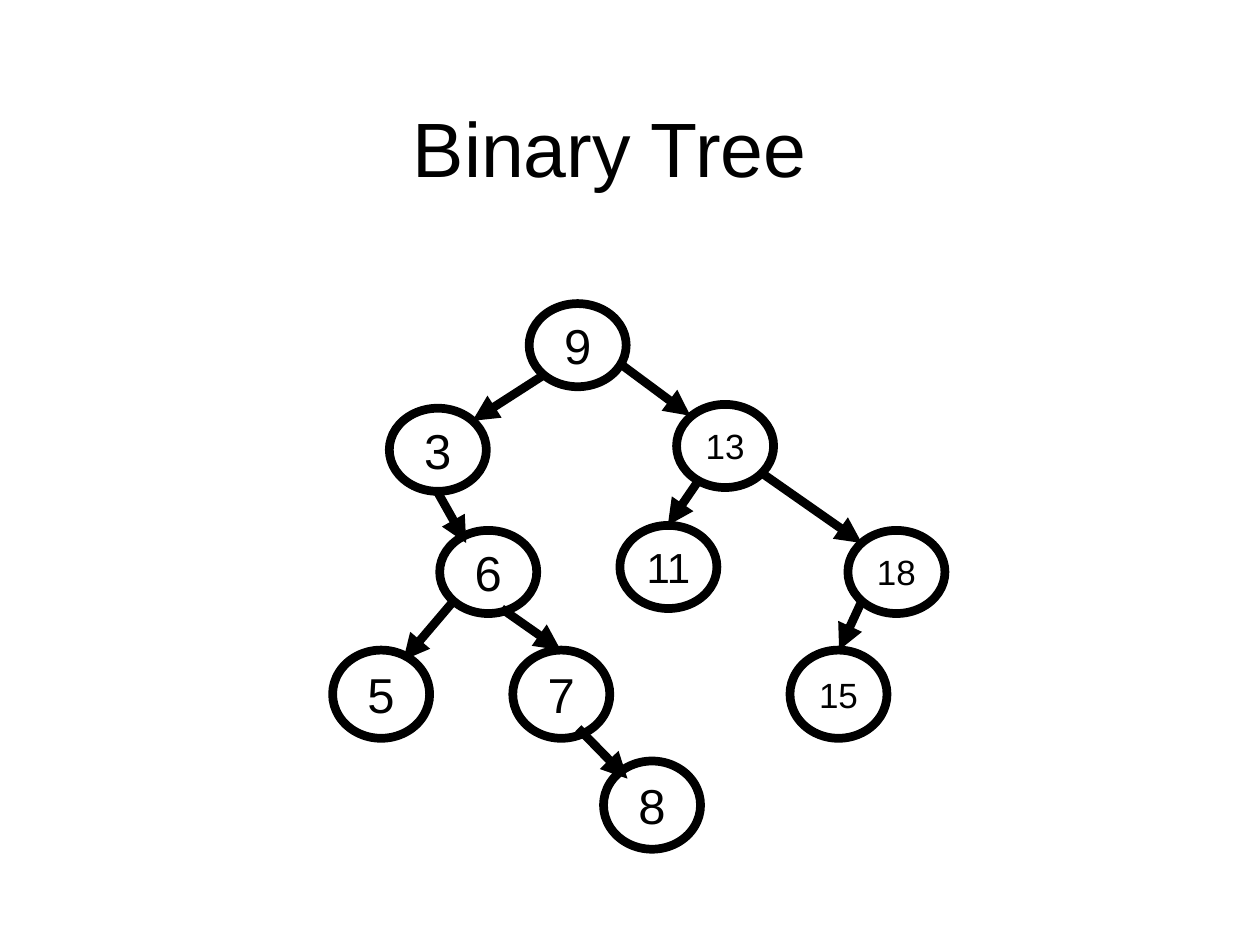
from typing import NamedTuple

from lxml.etree import SubElement
from pptx import Presentation
from pptx.dml.color import RGBColor
from pptx.enum.shapes import MSO_CONNECTOR, MSO_SHAPE
from pptx.enum.text import MSO_ANCHOR, PP_ALIGN
from pptx.oxml.ns import qn
from pptx.shapes.shapetree import GroupShapes
from pptx.text.text import TextFrame
from pptx.util import Inches, Pt

BLACK = RGBColor(0, 0, 0)
FONT = "Arial"
LINE_WIDTH = Pt(5)
NODE_WIDTH = 0.77


class Node(NamedTuple):
    label: str
    left: float
    top: float
    height: float = 0.66
    size: int = 28


class Edge(NamedTuple):
    start: tuple[float, float]
    end: tuple[float, float]


NODES = [
    Node("9", 4.2, 2.41),
    Node("3", 3.09, 3.24),
    Node("13", 5.37, 3.21, size=20),
    Node("11", 4.92, 4.17, size=24),
    Node("18", 6.73, 4.21, size=20),
    Node("6", 3.49, 4.21),
    Node("5", 2.64, 5.16, 0.7),
    Node("7", 4.07, 5.16, 0.7),
    Node("15", 6.27, 5.16, 0.7, 20),
    Node("8", 4.79, 6.04, 0.7),
]

EDGES = [
    Edge((4.31, 2.98), (3.75, 3.34)),
    Edge((4.94, 2.9), (5.48, 3.3)),
    Edge((3.47, 3.9), (3.7, 4.31)),
    Edge((5.54, 3.82), (5.3, 4.17)),
    Edge((6.04, 3.75), (6.84, 4.31)),
    Edge((3.6, 4.77), (3.2, 5.24)),
    Edge((3.98, 4.83), (4.45, 5.16)),
    Edge((6.84, 4.77), (6.66, 5.16)),
    Edge((4.59, 5.78), (4.98, 6.18)),
]


def set_centred_text(text_frame: TextFrame, text: str, size: int) -> None:
    text_frame.text = text
    text_frame.vertical_anchor = MSO_ANCHOR.MIDDLE
    paragraph = text_frame.paragraphs[0]
    paragraph.alignment = PP_ALIGN.CENTER
    font = paragraph.runs[0].font
    font.name = FONT
    font.size = Pt(size)
    font.color.rgb = BLACK


def draw_node(shapes: GroupShapes, node: Node) -> None:
    shape = shapes.add_shape(
        MSO_SHAPE.OVAL, Inches(node.left), Inches(node.top),
        Inches(NODE_WIDTH), Inches(node.height),
    )
    shape.shadow.inherit = False
    shape.fill.background()
    shape.line.color.rgb = BLACK
    shape.line.width = LINE_WIDTH
    shape.text_frame.word_wrap = False
    set_centred_text(shape.text_frame, node.label, node.size)


def draw_edge(shapes: GroupShapes, edge: Edge) -> None:
    connector = shapes.add_connector(
        MSO_CONNECTOR.STRAIGHT, *map(Inches, edge.start + edge.end)
    )
    connector.line.color.rgb = BLACK
    connector.line.width = LINE_WIDTH
    properties = connector._element.spPr
    SubElement(properties.find(qn("a:ln")), qn("a:tailEnd"), type="triangle")
    SubElement(properties, qn("a:effectLst"))


presentation = Presentation()
presentation.slide_width = Inches(10)
presentation.slide_height = Inches(7.5)
slide = presentation.slides.add_slide(presentation.slide_layouts[6])

title = slide.shapes.add_textbox(Inches(0.59), Inches(0.36), Inches(8.5), Inches(1.61))
title.text_frame.word_wrap = True
set_centred_text(title.text_frame, "Binary Tree", 44)

tree = slide.shapes.add_group_shape()
for node in NODES:
    draw_node(tree.shapes, node)
for edge in EDGES:
    draw_edge(tree.shapes, edge)

presentation.save("out.pptx")
